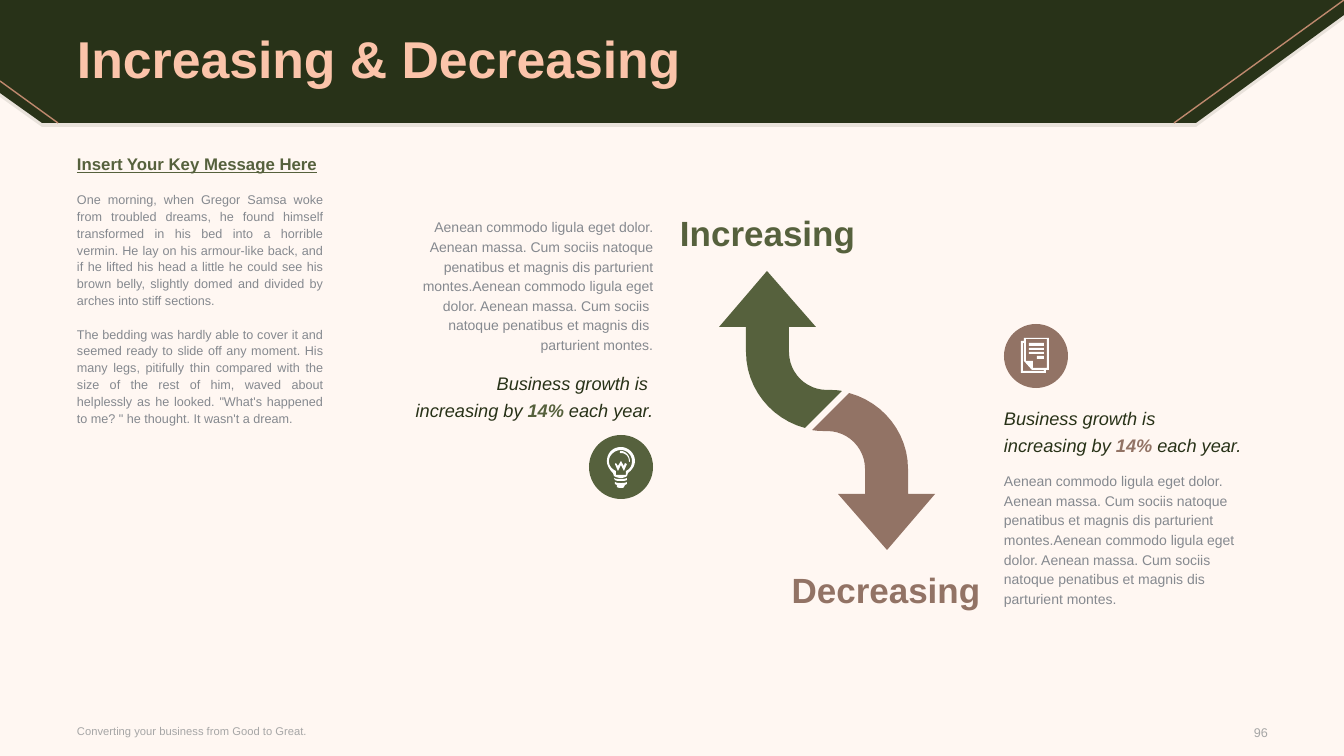
import pptx
import pptx.dml.color
import pptx.enum.shapes
import pptx.enum.text
import pptx.oxml.ns
import pptx.util
from lxml import etree

RGBColor = pptx.dml.color.RGBColor
CREAM = RGBColor(0xFF, 0xF7, 0xF2)
FOREST = RGBColor(0x28, 0x32, 0x18)
OLIVE = RGBColor(0x56, 0x61, 0x3D)
COCOA = RGBColor(0x92, 0x73, 0x65)
PEACH = RGBColor(0xFB, 0xC4, 0xAA)
BRONZE = RGBColor(0xBF, 0x89, 0x6E)
GREY = RGBColor(0x85, 0x89, 0x8F)
PALE_GREY = RGBColor(0xA6, 0xA6, 0xA6)
WHITE = RGBColor(0xFF, 0xFF, 0xFF)

ALIGN = pptx.enum.text.PP_ALIGN
MIDDLE = pptx.enum.text.MSO_ANCHOR.MIDDLE
Pt = pptx.util.Pt
EMU_PER_PX = 9144000 / 1008
CURVE_STEPS = 12

DETAIL = ("Aenean commodo ligula eget dolor. Aenean massa. Cum sociis natoque penatibus "
          "et magnis dis parturient montes.Aenean commodo ligula eget dolor. Aenean massa. "
          "Cum sociis \nnatoque penatibus et magnis dis \nparturient montes.")
STORY = [
    "One morning, when Gregor Samsa woke from troubled dreams, he found himself transformed "
    "in his bed into a horrible vermin. He lay on his armour-like back, and if he lifted his "
    "head a little he could see his brown belly, slightly domed and divided by arches into "
    "stiff sections.",
    "The bedding was hardly able to cover it and seemed ready to slide off any moment. His "
    "many legs, pitifully thin compared with the size of the rest of him, waved about "
    "helplessly as he looked. \"What's happened to me? \" he thought. It wasn't a dream.",
]

# Outlines: a pair is a corner, six numbers are a cubic curve
BAND = [[(1196, 123), (42, 123), (0, 93), (0, 0), (1344, 0), (1344, 15)]]
ARROW = [[(123, 120), (86, 157), (52, 148, 27, 117, 27, 81), (27, 56), (0, 56), (48, 0),
          (97, 56), (70, 56), (70, 81), (70, 102, 87, 119, 108, 119),
          (113, 119, 118, 119, 123, 120)]]
BULB = [
    [(8, 35), (8, 37), (10, 38), (10, 40), (10, 40, 11, 41, 14, 41), (17, 41, 17, 40, 17, 40),
     (18, 38), (20, 37), (20, 35), (18, 36, 16, 36, 14, 36), (12, 36, 10, 36, 8, 35)],
    [(7, 31), (8, 33), (10, 34, 12, 34, 14, 34), (16, 34, 18, 34, 20, 33), (20, 31),
     (18, 32, 16, 32, 14, 32), (11, 32, 9, 32, 7, 31)],
    [(14, 0), (6, 0, 0, 6, 0, 14), (0, 19, 3, 23, 6, 26), (7, 29), (9, 30, 11, 31, 14, 31),
     (16, 31, 19, 30, 20, 29), (21, 26), (25, 23, 28, 19, 28, 14), (28, 6, 21, 0, 14, 0)],
    [(19, 24), (19, 28), (19, 28, 17, 28, 14, 28), (10, 28, 9, 28, 9, 28), (9, 24),
     (5, 22, 2, 19, 2, 14), (2, 8, 8, 3, 14, 3), (20, 3, 25, 8, 25, 14),
     (25, 19, 23, 22, 19, 24)],
    [(17, 19), (14, 14), (11, 19), (9, 16), (8, 17), (11, 24), (14, 18), (17, 24), (20, 17),
     (18, 16)],
    [(14, 4), (13, 4, 13, 5, 13, 5), (13, 6, 13, 6, 14, 6), (18, 6, 22, 9, 22, 14),
     (22, 14, 22, 15, 23, 15), (23, 15, 23, 14, 23, 14), (23, 9, 19, 4, 14, 4)],
]
TEXT_ROWS = [(8, 5, 8), (8, 10, 12), (8, 14, 16), (16, 18, 21)]
PAPERS = [
    [(3, 0), (3, 3), (0, 3), (0, 35), (25, 35), (25, 32), (28, 32), (28, 0)],
    [(23, 33), (2, 33), (2, 5), (3, 5), (3, 23), (11, 32), (23, 32)],
    [(26, 30), (12, 30), (12, 23), (5, 23), (5, 1), (26, 1)],
] + [[(left, top), (23, top), (23, bottom), (left, bottom)] for left, top, bottom in TEXT_ROWS]


def px(length):
    return pptx.util.Emu(round(length * EMU_PER_PX))


def paint(shape, color):
    shape.shadow.inherit = False
    shape.fill.solid()
    shape.fill.fore_color.rgb = color
    shape.line.fill.background()
    return shape


def flatten(contour):
    points = [contour[0]]
    for step in contour[1:]:
        if len(step) == 2:
            points.append(step)
            continue
        corners = [points[-1], step[:2], step[2:4], step[4:]]
        for index in range(1, CURVE_STEPS + 1):
            t = index / CURVE_STEPS
            weights = ((1 - t) ** 3, 3 * t * (1 - t) ** 2, 3 * t * t * (1 - t), t ** 3)
            points.append(tuple(sum(weight * corner[axis]
                                    for weight, corner in zip(weights, corners))
                                for axis in (0, 1)))
    return [(px(x), px(y)) for x, y in points]


def add_outline(page, left, top, contours, color):
    outlines = [flatten(contour) for contour in contours]
    builder = page.shapes.build_freeform(*outlines[0][0])
    builder.add_line_segments(outlines[0][1:], close=True)
    for outline in outlines[1:]:
        builder.move_to(*outline[0])
        builder.add_line_segments(outline[1:], close=True)
    return paint(builder.convert_to_shape(px(left), px(top)), color)


def add_text(page, box, paragraphs, anchor=pptx.enum.text.MSO_ANCHOR.TOP):
    """Each paragraph is (spans, format); each span is (words, color, font format)."""
    frame = page.shapes.add_textbox(*map(px, box)).text_frame
    frame_format = dict(word_wrap=True, vertical_anchor=anchor, margin_left=0,
                        margin_right=0, margin_top=0, margin_bottom=0)
    for name, value in frame_format.items():
        setattr(frame, name, value)
    for number, (spans, layout) in enumerate(paragraphs):
        para = frame.add_paragraph() if number else frame.paragraphs[0]
        for name, value in layout.items():
            setattr(para, name, value)
        for words, color, style in spans:
            for row, line in enumerate(words.split("\n")):
                if row:
                    para.add_line_break()
                span = para.add_run()
                span.text = line
                span.font.color.rgb = color
                for name, value in dict(style, name="Arial").items():
                    setattr(span.font, name, value)


def add_header(page, box):
    left, top, width, height = box
    shade = add_outline(page, left, top + 4, BAND, FOREST)
    fill_color = shade.fill._xPr.find(".//" + pptx.oxml.ns.qn("a:srgbClr"))
    etree.SubElement(fill_color, pptx.oxml.ns.qn("a:alpha"), val="10000")
    add_outline(page, left, top, BAND, FOREST)
    for ends in [(width, 0, 1174, height), (58, height, 0, 81)]:
        edge = page.shapes.add_connector(pptx.enum.shapes.MSO_CONNECTOR.STRAIGHT,
                                         *map(px, ends))
        edge.line.color.rgb = BRONZE
        edge.line.width = Pt(1)
        etree.SubElement(edge._element.spPr, pptx.oxml.ns.qn("a:effectLst"))
    add_text(page, (left + 77, top + 3, 1190, 118),
             [([("Increasing & Decreasing", PEACH, dict(size=Pt(37), bold=True))],
               dict(line_spacing=0.9))], MIDDLE)


def add_message(page, box):
    layout = dict(alignment=ALIGN.JUSTIFY, line_spacing=Pt(12))
    heading = ("Insert Your Key Message Here", OLIVE,
               dict(size=Pt(12), bold=True, underline=True))
    add_text(page, box, [([heading], layout)] + [
        ([(passage, GREY, dict(size=Pt(9)))], dict(layout, space_before=Pt(12)))
        for passage in STORY])


def add_arrows(page, box):
    left, top, width, height = box
    add_outline(page, left + 39, top + 59, ARROW, OLIVE)
    add_outline(page, left + 132, top + 181, ARROW, COCOA).rotation = 180
    style = dict(size=Pt(25), bold=True)
    add_text(page, (left, top, 263, 42), [([("Increasing", OLIVE, style)], {})])
    add_text(page, (left + width - 263, top + height - 42, 263, 42),
             [([("Decreasing", COCOA, style)], dict(alignment=ALIGN.RIGHT))])


def add_trend(page, box, color, align, first_line, detail_top, claim_top, badge_top, icon):
    left, top, width, height = box
    add_text(page, (left, top + detail_top, width, 138),
             [([(DETAIL, GREY, dict(size=Pt(10)))],
               dict(alignment=align, line_spacing=Pt(14)))])
    style = dict(size=Pt(13), italic=True)
    layout = dict(alignment=align, line_spacing=Pt(19))
    add_text(page, (left, top + claim_top, width, 53), [
        ([(first_line, FOREST, style)], layout),
        ([("increasing by ", FOREST, style), ("14%", color, dict(style, bold=True)),
          (" each year.", FOREST, style)], layout)])
    # Round badge, on the side the text is aligned to
    contours, icon_left, icon_top = icon
    badge_left = left + (width - 64 if align == ALIGN.RIGHT else 0)
    paint(page.shapes.add_shape(pptx.enum.shapes.MSO_SHAPE.OVAL, px(badge_left),
                                px(top + badge_top), px(64), px(64)), color)
    add_outline(page, badge_left + icon_left, top + badge_top + icon_top, contours, WHITE)


def add_footer(page, box):
    left, top, width, height = box
    add_text(page, (left, top, 527, height),
             [([("Converting your business from Good to Great.", PALE_GREY,
                 dict(size=Pt(8)))], {})], MIDDLE)
    add_text(page, (left + width - 63, top + 1, 63, height),
             [([("96", PALE_GREY, dict(size=Pt(9)))], dict(alignment=ALIGN.RIGHT))], MIDDLE)


def main():
    deck = pptx.Presentation()
    deck.slide_width, deck.slide_height = px(1344), px(756)
    page = deck.slides.add_slide(deck.slide_layouts[6])
    page.background.fill.solid()
    page.background.fill.fore_color.rgb = CREAM
    add_header(page, (0, 0, 1344, 123))
    add_message(page, (77, 157, 246, 523))
    add_arrows(page, (680, 212, 300, 399))
    add_trend(page, (390, 216, 263, 283), OLIVE, ALIGN.RIGHT, "Business growth is ",
              0, 152, 219, (BULB, 18, 12))
    add_trend(page, (1004, 324, 263, 284), COCOA, ALIGN.LEFT, "Business growth is",
              146, 79, 0, (PAPERS, 17, 14))
    add_footer(page, (77, 718, 1191, 26))
    deck.save("out.pptx")


if __name__ == "__main__":
    main()
